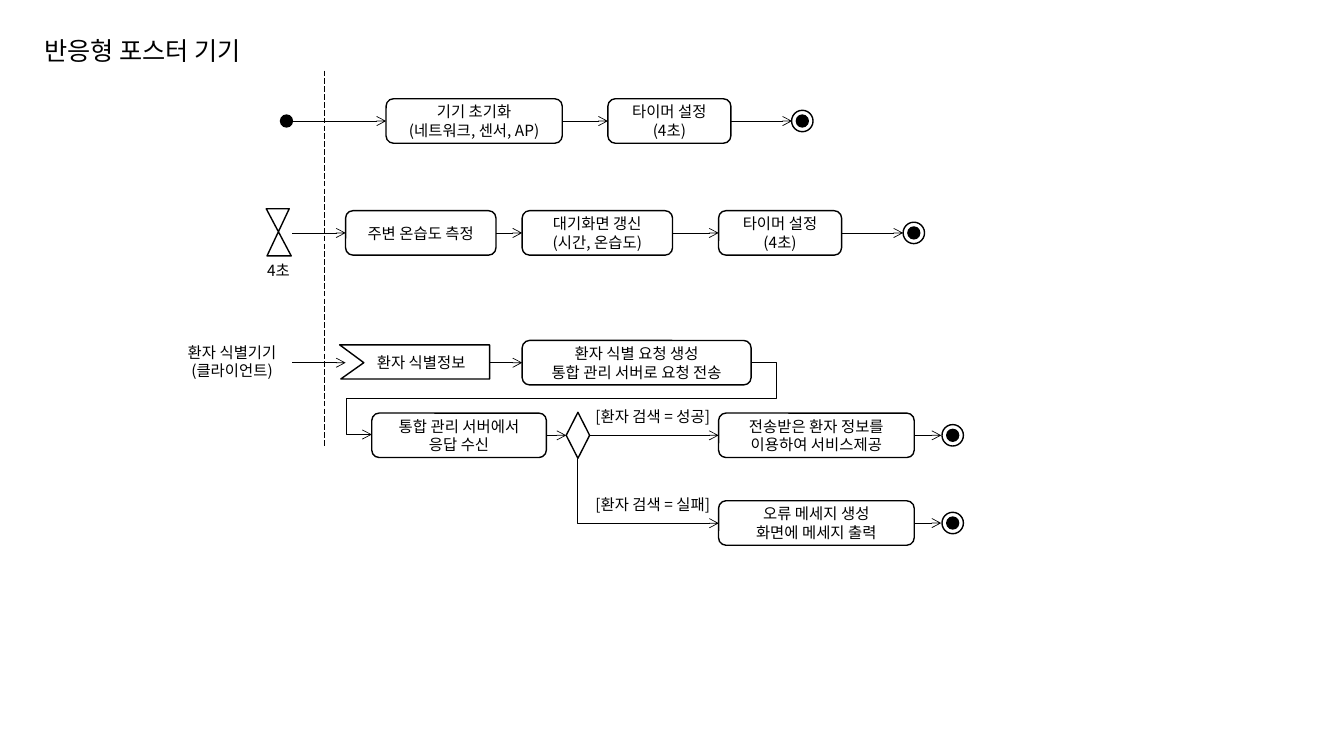
"""Build the activity diagram slide of the responsive poster device."""
from pptx import Presentation
from pptx.dml.color import RGBColor
from pptx.enum.dml import MSO_LINE as DASH
from pptx.enum.shapes import MSO_CONNECTOR as CONN, MSO_SHAPE as SHAPE
from pptx.enum.text import MSO_ANCHOR as ANCHOR, PP_ALIGN as ALIGN
from pptx.oxml.ns import qn
from pptx.util import Cm, Pt
from lxml.etree import SubElement

FONT = "Noto Sans CJK KR"
BLACK, WHITE = "000000", "FFFFFF"
INIT_Y, TIMER_Y, REQUEST_Y, REPLY_Y, ERROR_Y = 3.05, 5.87, 9.14, 10.97, 13.18
NODE_H = 1.12
color = RGBColor.from_string


def write(sp, text, size=11, align=ALIGN.CENTER):
    tf = sp.text_frame
    tf.text = text
    for p in tf.paragraphs:
        p.alignment = align
        for r in p.runs:
            r.font.size = Pt(size)
            r.font.name = FONT
            r.font.color.rgb = color(BLACK)
            SubElement(r.font._element, qn("a:ea"), typeface=FONT)


def style(sp, fill=WHITE):
    sp.shadow.inherit = False
    sp.fill.solid()
    sp.fill.fore_color.rgb = color(fill)
    sp.line.color.rgb = color(BLACK)
    sp.line.width = Pt(1)


prs = Presentation()
prs.slide_width, prs.slide_height = Cm(33.87), Cm(19.05)
s = prs.slides.add_slide(prs.slide_layouts[6])
shapes = s.shapes

connectors = [
    (CONN.STRAIGHT, 8.18, 1.78, 8.18, 11.23),
    (CONN.ELBOW, 17.15, 10.59, 15.52, 14.15),
    (CONN.ELBOW, 18.92, REQUEST_Y, 9.37, 10.95),
]
arrows = [
    (INIT_Y, [(7.37, 9.73), (14.17, 15.32), (18.42, 19.96)]),
    (TIMER_Y, [(7.37, 8.71), (12.5, 13.16), (16.94, 18.11), (21.18, 22.76)]),
    (REQUEST_Y, [(7.37, 8.71), (12.34, 13.16)]),
    (REPLY_Y, [(13.77, 14.27), (14.86, 18.11), (23.04, 23.72)]),
    (ERROR_Y, [(23.04, 23.72)]),
]
for y, spans in arrows:
    connectors += [(CONN.STRAIGHT, x1, y, x2, y) for x1, x2 in spans]

hourglass = [(6.71, 5.26), (7.29, 5.26), (6.73, 6.45), (7.34, 6.45)]
signal = [(8.56, 8.69), (12.34, 8.69), (12.34, 9.55), (8.59, 9.55), (9.17, 9.14)]
for outline in (hourglass, signal):
    points = [(round(x * 100), round(y * 100)) for x, y in outline]
    builder = shapes.build_freeform(*points[0], scale=Cm(0.01))
    builder.add_line_segments(points[1:], close=True)
    sp = builder.convert_to_shape()
    style(sp)
sp.text_frame.word_wrap = True
sp.text_frame.margin_left = Cm(0.58)
sp.text_frame.vertical_anchor = ANCHOR.MIDDLE
write(sp, "환자 식별정보")

lines = []
for kind, x1, y1, x2, y2 in connectors:
    cx = shapes.add_connector(kind, Cm(x1), Cm(y1), Cm(x2), Cm(y2))
    cx.line.color.rgb = color(BLACK)
    cx.line.width = Pt(0.5)
    SubElement(cx._element.spPr, qn("a:effectLst"))
    lines.append(cx)

boundary, failure, reply = lines[:3]
boundary.line.dash_style = DASH.LONG_DASH
for cx in lines[1:]:
    SubElement(cx.line._get_or_add_ln(), qn("a:tailEnd"), type="arrow")

failure._element.spPr.find(qn("a:xfrm")).set("rot", "16200000")
failure._element.spPr.find(qn("a:prstGeom")).set("prst", "bentConnector2")
geom = reply._element.spPr.find(qn("a:prstGeom"))
geom.set("prst", "bentConnector5")
guides = geom.find(qn("a:avLst"))
for i, value in enumerate((-6700, 50000, 106700), 1):
    SubElement(guides, qn("a:gd"), name=f"adj{i}", fmla=f"val {value}")

nodes = [
    (INIT_Y, 9.73, 4.44, "기기 초기화\n(네트워크, 센서, AP)"),
    (INIT_Y, 15.32, 3.1, "타이머 설정\n(4초)"),
    (TIMER_Y, 8.71, 3.79, "주변 온습도 측정"),
    (TIMER_Y, 13.16, 3.79, "대기화면 갱신\n(시간, 온습도)"),
    (TIMER_Y, 18.11, 3.1, "타이머 설정\n(4초)"),
    (REQUEST_Y, 13.16, 5.77, "환자 식별 요청 생성\n통합 관리 서버로 요청 전송"),
    (REPLY_Y, 9.37, 4.4, "통합 관리 서버에서\n응답 수신"),
    (REPLY_Y, 18.11, 4.93, "전송받은 환자 정보를\n이용하여 서비스제공"),
    (ERROR_Y, 18.11, 4.93, "오류 메세지 생성\n화면에 메세지 출력"),
]
for y, x, w, text in nodes:
    sp = shapes.add_shape(SHAPE.ROUNDED_RECTANGLE, Cm(x), Cm(y - NODE_H / 2), Cm(w), Cm(NODE_H))
    style(sp)
    sp.text_frame.word_wrap = True
    sp.text_frame.vertical_anchor = ANCHOR.MIDDLE
    write(sp, text)

sp = shapes.add_shape(SHAPE.FLOWCHART_DECISION, Cm(14.27), Cm(10.39), Cm(0.59), Cm(1.16))
style(sp)

dots = [(7.22, INIT_Y, 0.3, BLACK)]
for x, y in ((20.22, INIT_Y), (23.03, TIMER_Y), (24.01, REPLY_Y), (24.01, ERROR_Y)):
    dots += [(x, y, 0.54, WHITE), (x, y, 0.3, BLACK)]
for x, y, d, fill in dots:
    sp = shapes.add_shape(SHAPE.OVAL, Cm(x - d / 2), Cm(y - d / 2), Cm(d), Cm(d))
    style(sp, fill)

labels = [
    (4.34, 8.51, 3.02, 1.19, "환자 식별기기\n(클라이언트)"),
    (6.27, 6.45, 1.5, 0.74, "4초"),
    (14.45, 10.13, 4.0, 0.74, "[환자 검색 = 성공]"),
    (14.45, 12.34, 4.0, 0.74, "[환자 검색 = 실패]"),
]
for x, y, w, h, text in labels:
    sp = shapes.add_textbox(Cm(x), Cm(y), Cm(w), Cm(h))
    sp.text_frame.word_wrap = True
    write(sp, text)

title = shapes.add_textbox(Cm(0.86), Cm(0.76), Cm(6.1), Cm(1.02))
write(title, "반응형 포스터 기기", 18, ALIGN.LEFT)

prs.save("out.pptx")
